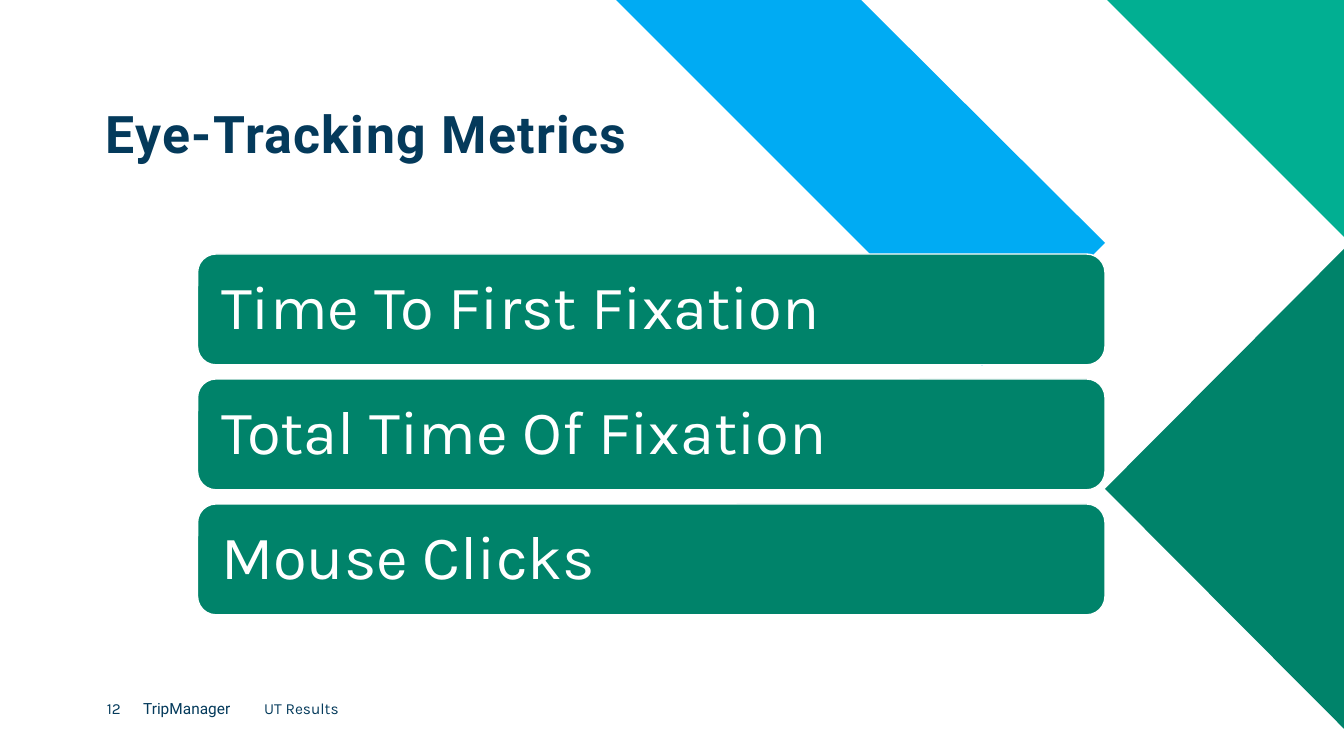
from pptx import Presentation
from pptx.dml.color import RGBColor
from pptx.enum.shapes import MSO_SHAPE as Shape
from pptx.enum.text import MSO_ANCHOR as Anchor, MSO_AUTO_SIZE as Fit, PP_ALIGN as Align
from pptx.util import Inches, Pt

NAVY, WHITE, BLUE = "043A5B", "FFFFFF", "00ABF3"
MINT, GREEN = "01AF92", "00836A"
HEAD, BODY = "Roboto", "Karla"


def color(code):
    return RGBColor.from_string(code)


class Page:
    def __init__(self, deck):
        self.slide = deck.slides.add_slide(deck.slide_layouts[5])
        self.shapes = self.slide.shapes

    def letter(self, shape, text, face, size, ink, pad=0, anchor=Anchor.TOP):
        """Fill a shape with one left-aligned paragraph and return its font."""
        frame = shape.text_frame
        frame.text = text
        frame.word_wrap = True
        frame.auto_size = Fit.NONE
        frame.vertical_anchor = anchor
        frame.margin_left = frame.margin_right = Inches(pad)
        frame.margin_top = frame.margin_bottom = Inches(pad)
        line = frame.paragraphs[0]
        line.alignment = Align.LEFT
        if size > 20:
            line.line_spacing = 0.9
        font = line.font
        font.name, font.size = face, Pt(size)
        font.color.rgb = color(ink)
        return font

    def title(self, text, left, top, width, height):
        shape = self.shapes.title
        shape.left, shape.top = Inches(left), Inches(top)
        shape.width, shape.height = Inches(width), Inches(height)
        font = self.letter(shape, text, HEAD, 37, NAVY, anchor=Anchor.BOTTOM)
        font.bold = True
        font._rPr.set("spc", "100")

    def label(self, text, face, left, width):
        box = self.shapes.add_textbox(
            Inches(left), Inches(6.94), Inches(width), Inches(0.29))
        self.letter(box, text, face, 11, NAVY)

    def band(self, points, fill):
        (x, y), *rest = [(Inches(x), Inches(y)) for x, y in points]
        pen = self.shapes.build_freeform(x, y)
        pen.add_line_segments(rest, close=True)
        shape = pen.convert_to_shape()
        shape.shadow.inherit = False
        shape.fill.solid()
        shape.fill.fore_color.rgb = color(fill)
        shape.line.fill.background()

    def card(self, text, top):
        shape = self.shapes.add_shape(
            Shape.ROUNDED_RECTANGLE,
            Inches(1.96), Inches(top), Inches(9), Inches(1.1))
        shape.shadow.inherit = False
        shape.fill.solid()
        shape.fill.fore_color.rgb = color(GREEN)
        shape.line.color.rgb = color(WHITE)
        shape.line.width = Pt(1)
        self.letter(shape, text, BODY, 44, WHITE, 0.18, Anchor.MIDDLE)


def main():
    deck = Presentation()
    deck.slide_width, deck.slide_height = Inches(13.33), Inches(7.5)
    page = Page(deck)

    page.band([(6.09, -0.02), (8.52, -0.02), (10.96, 2.41), (9.74, 3.63)], BLUE)
    page.band([(10.96, -0.02), (13.33, -0.02), (13.33, 2.35)], MINT)
    page.band([(13.33, 7.23), (10.96, 4.85), (13.33, 2.47)], GREEN)

    page.title("Eye-Tracking Metrics", 1.05, 0.96, 5.4, 0.67)
    metrics = ["Time To First Fixation", "Total Time Of Fixation", "Mouse Clicks"]
    for row, metric in enumerate(metrics):
        page.card(metric, 2.52 + 1.24 * row)

    page.label("12", BODY, 1.06, 0.36)
    page.label("TripManager", HEAD, 1.42, 1.2)
    page.label("UT Results", BODY, 2.62, 1.33)
    deck.save("out.pptx")


if __name__ == "__main__":
    main()
